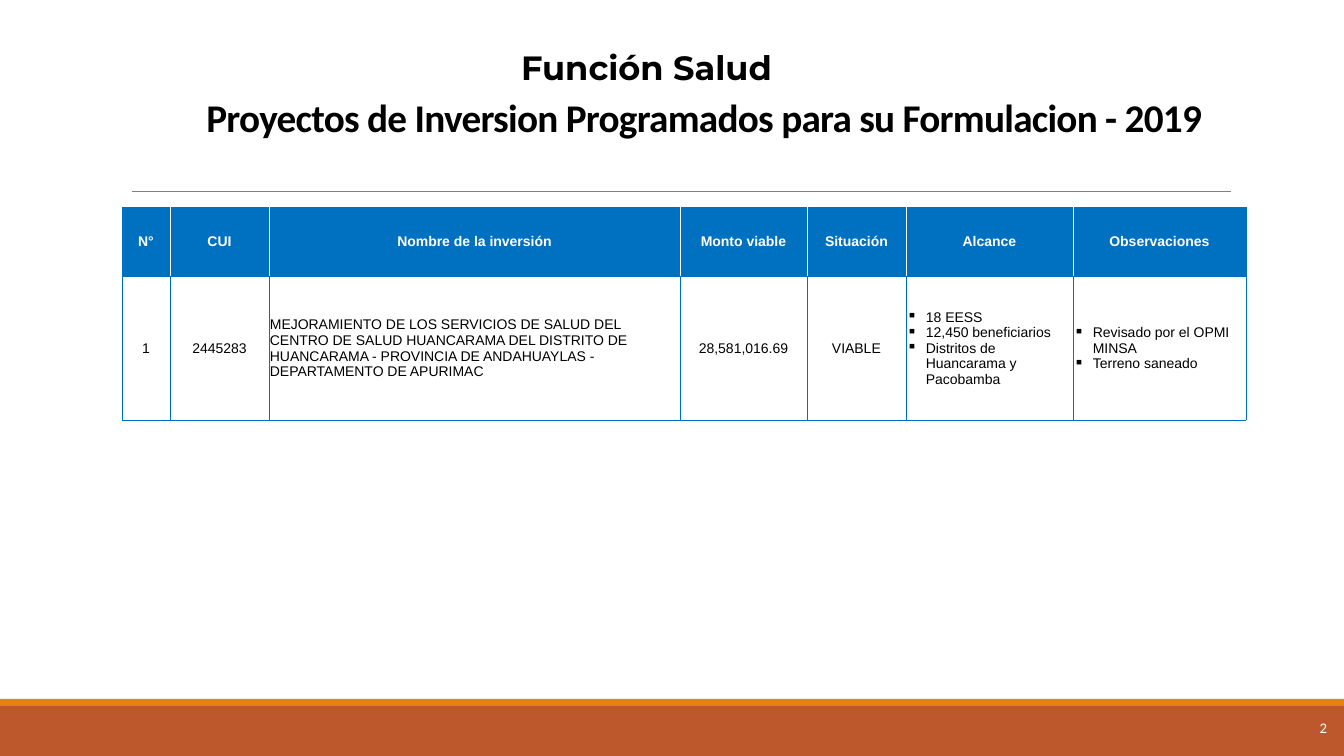
from lxml.etree import SubElement
from pptx import Presentation
from pptx.dml.color import RGBColor
from pptx.enum.shapes import MSO_CONNECTOR, MSO_SHAPE
from pptx.enum.text import MSO_ANCHOR, PP_ALIGN
from pptx.oxml.ns import qn
from pptx.util import Emu, Pt

BLACK = RGBColor(0x00, 0x00, 0x00)
WHITE = RGBColor(0xFF, 0xFF, 0xFF)
BLUE = RGBColor(0x00, 0x70, 0xC0)
GRAY = RGBColor(0x80, 0x80, 0x80)
RUST = RGBColor(0xBD, 0x58, 0x2C)
ORANGE = RGBColor(0xE4, 0x83, 0x12)

WIDTH, HEIGHT = 1344, 756
COLUMNS = [48, 99, 411, 127, 99, 167, 173]
ROWS = [69, 144]
HEADERS = ["N°", "CUI", "Nombre de la inversión", "Monto viable",
           "Situación", "Alcance", "Observaciones"]
PROJECT = [
    "1",
    "2445283",
    "MEJORAMIENTO DE LOS SERVICIOS DE SALUD DEL CENTRO DE SALUD HUANCARAMA "
    "DEL DISTRITO DE HUANCARAMA - PROVINCIA DE ANDAHUAYLAS - "
    "DEPARTAMENTO DE APURIMAC",
    "28,581,016.69",
    "VIABLE",
    ["18 EESS", "12,450 beneficiarios", "Distritos de Huancarama y Pacobamba"],
    ["Revisado por el OPMI MINSA", "Terreno saneado"],
]
NAME_COLUMN = HEADERS.index("Nombre de la inversión")


def px(n):
    return Emu(round(n * 914400 / 100.8))


def set_margins(target, left, top, right, bottom):
    target.margin_left, target.margin_top = px(left), px(top)
    target.margin_right, target.margin_bottom = px(right), px(bottom)


def style_paragraph(p, font, size, color, bold, align):
    p.alignment = align
    p.font.name, p.font.size, p.font.bold = font, Pt(size), bold
    p.font.color.rgb = color


def add_bar(slide, x, y, w, h, color):
    sp = slide.shapes.add_shape(MSO_SHAPE.RECTANGLE, px(x), px(y), px(w), px(h))
    sp.shadow.inherit = False
    sp.fill.solid()
    sp.fill.fore_color.rgb = color
    sp.line.fill.background()


def add_text(slide, x, y, w, h, text, margins, anchor, *style):
    tf = slide.shapes.add_textbox(px(x), px(y), px(w), px(h)).text_frame
    tf.word_wrap = True
    tf.vertical_anchor = anchor
    set_margins(tf, *margins)
    p = tf.paragraphs[0]
    p.text = text
    style_paragraph(p, *style)


def add_footer(slide, x, y, w, h):
    add_bar(slide, x, y + 7, w, h - 7, RUST)
    add_bar(slide, x, y, w, 7, ORANGE)
    add_text(slide, x + w - 97, y, 80, h, "2", (0, 0, 0, 0), MSO_ANCHOR.MIDDLE,
             "Calibri", 10.5, WHITE, False, PP_ALIGN.RIGHT)


def add_heading(slide, x, y, w, h):
    """Function name, slide title and the rule that closes the heading."""
    add_text(slide, x - 44, y, 1137, 106, "Función Salud", (10, 5, 10, 39),
             MSO_ANCHOR.BOTTOM, "Montserrat", 24, BLACK, True, PP_ALIGN.CENTER)

    title = slide.shapes.title
    title.left, title.top = px(x), px(y + 66)
    title.width, title.height = px(w), px(57)
    tf = title.text_frame
    tf.word_wrap = True
    tf.vertical_anchor = MSO_ANCHOR.BOTTOM
    set_margins(tf, 0, 0, 0, 0)
    p = tf.paragraphs[0]
    r = p.add_run()
    r.text = "Proyectos de Inversion Programados para su Formulacion - 2019"
    r.font._element.set("spc", "-50")
    p.line_spacing = 0.85
    style_paragraph(p, "Calibri", 28, BLACK, True, PP_ALIGN.CENTER)

    rule = slide.shapes.add_connector(MSO_CONNECTOR.STRAIGHT, px(x + 10),
                                      px(y + h), px(x + 1109), px(y + h))
    rule.line.color.rgb = GRAY
    rule.line.width = Pt(0.5)
    SubElement(rule._element.spPr, qn("a:effectLst"))


def set_borders(cell, left, right):
    tc_pr = cell._tc.get_or_add_tcPr()
    sides = {"lnL": left, "lnR": right, "lnT": BLUE, "lnB": BLUE}
    for side, color in sides.items():
        ln = SubElement(tc_pr, qn(f"a:{side}"), w=str(Pt(0.5)))
        fill = SubElement(ln, qn("a:solidFill"))
        SubElement(fill, qn("a:srgbClr"), val=str(color))


def add_bullet(p):
    p_pr = p._p.get_or_add_pPr()
    p_pr.set("marL", str(px(19)))
    p_pr.set("indent", str(px(-19)))
    SubElement(p_pr, qn("a:buChar"), char="▪")


def fill_cell(cell, content, is_header, align, left, right):
    set_borders(cell, left, right)
    cell.fill.solid()
    cell.fill.fore_color.rgb = BLUE if is_header else WHITE
    cell.vertical_anchor = MSO_ANCHOR.MIDDLE
    set_margins(cell, 1, 1, 1, 0)
    bulleted = isinstance(content, list)
    cell.text = "\n".join(content) if bulleted else content
    for p in cell.text_frame.paragraphs:
        if bulleted:
            add_bullet(p)
        style_paragraph(p, "Arial", 10, WHITE if is_header else BLACK,
                        is_header, align)


def add_projects_table(slide, x, y):
    table = slide.shapes.add_table(len(ROWS), len(COLUMNS), px(x), px(y),
                                   px(sum(COLUMNS)), px(sum(ROWS))).table
    table.first_row = table.horz_banding = False
    for column, width in zip(table.columns, COLUMNS):
        column.width = px(width)
    for row, height in zip(table.rows, ROWS):
        row.height = px(height)
    last = len(COLUMNS) - 1
    for i, contents in enumerate([HEADERS, PROJECT]):
        is_header = i == 0
        inner = WHITE if is_header else BLUE
        for j, content in enumerate(contents):
            to_left = not is_header and (j == NAME_COLUMN or isinstance(content, list))
            fill_cell(table.cell(i, j), content, is_header,
                      PP_ALIGN.LEFT if to_left else PP_ALIGN.CENTER,
                      BLUE if j == 0 else inner, BLUE if j == last else inner)


def main():
    prs = Presentation()
    prs.slide_width, prs.slide_height = px(WIDTH), px(HEIGHT)
    slide = prs.slides.add_slide(prs.slide_layouts[5])
    add_footer(slide, 0, 699, WIDTH, 57)
    add_heading(slide, 122, 18, 1164, 173)
    add_projects_table(slide, 122, 207)
    prs.save("out.pptx")


if __name__ == "__main__":
    main()
